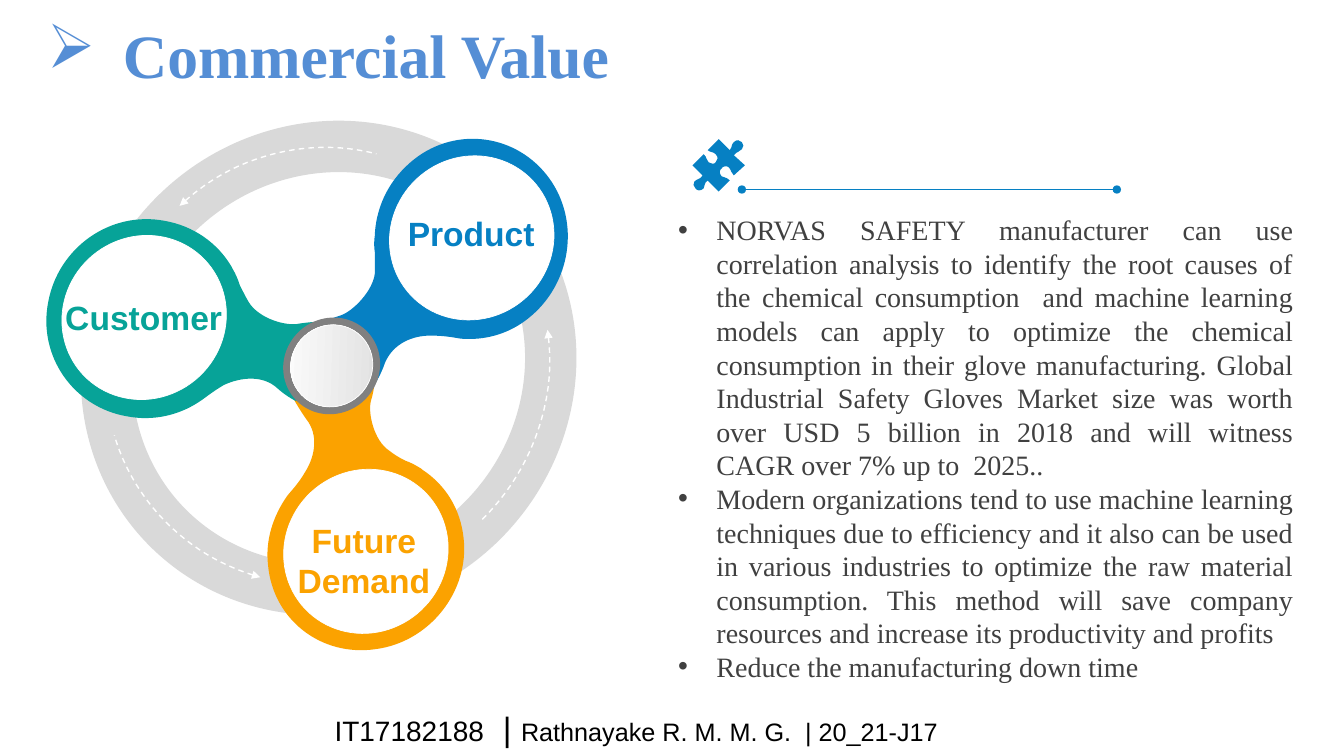
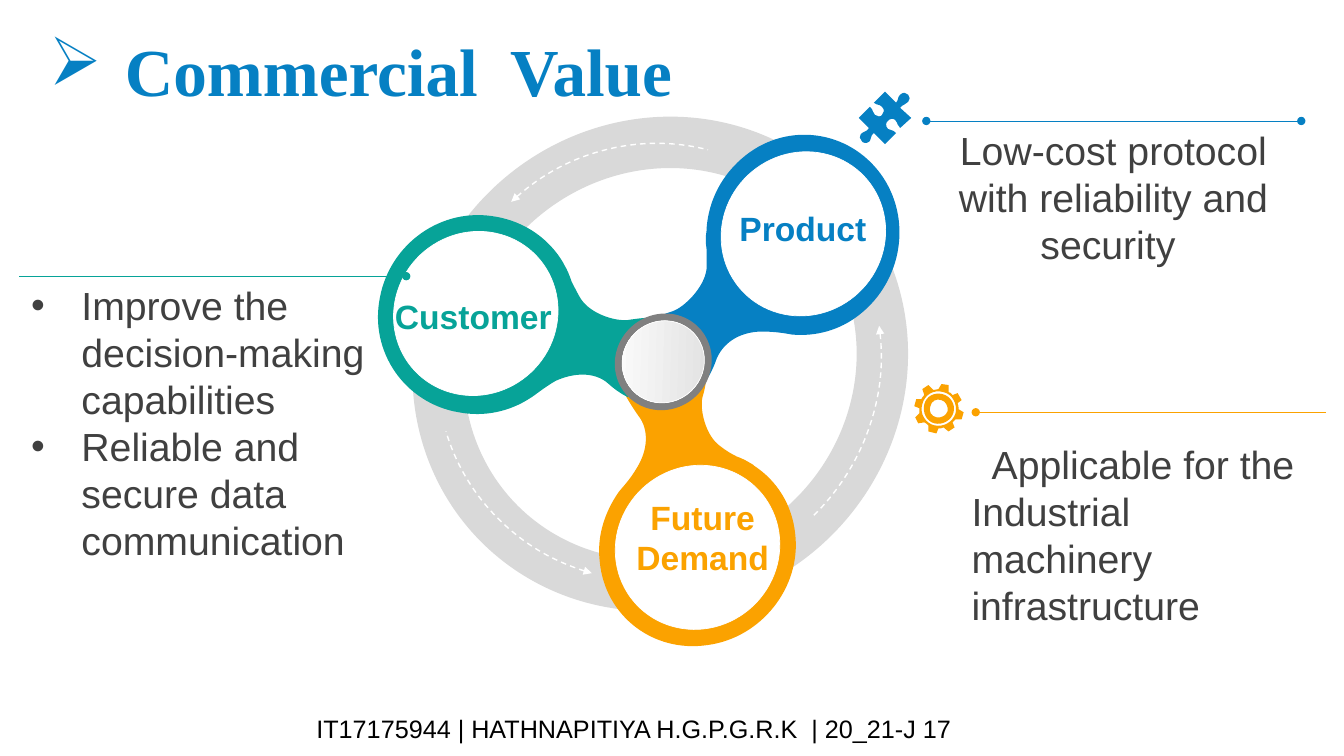
from lxml import etree
from pptx import Presentation
from pptx.dml import color
from pptx.enum import dml, shapes, text
from pptx.oxml import ns
from pptx.util import Emu, Pt

COLUMNS, ROWS = 40 / 3, 7.5
CELL = 914400
SERIF, SANS = "Times New Roman", "Arial"
BLUE, TEAL, ORANGE = "0680C3", "07A398", "FBA200"
WHITE, BLACK, BODY, RING, HUB = "FFFFFF", "000000", "404040", "D9D9D9", "808080"
TILT = 46.7
ARC_START, ARC_END = 181.8, 215.18
ARROWS = (
    ((3.3, 2.66), (4.21, 4.39), TILT),
    ((3.18, 2.65), (4.39, 4.21), 286),
    ((3.24, 2.7), (4.39, 4.21), 165),
)

ORANGE_ARM = """M460 434 C457 405 442 381 419 366 L418 365 C413 362 408 359 402 357
C396 354 391 351 386 347 C371 337 365 310 368 298 C372 285 372 275 372 275
L352 280 L312 291 L292 297 C292 297 297 306 304 316 C316 331 313 352 303 368
C296 380 289 387 285 392 C271 412 263 436 266 461 C271 515 319 552 373 544
C426 537 466 487 460 434"""
BLUE_ARM = """M411 58 C387 77 374 103 372 131 L372 133 C371 139 371 145 372 151
C372 158 372 165 372 171 C370 189 350 209 338 213 C325 217 316 222 316 222
L330 237 L358 266 L372 281 C372 281 378 272 382 260 C390 241 409 233 427 233
C441 233 451 235 457 236 C480 238 504 232 524 216 C567 182 576 120 545 77
C513 33 453 25 411 58"""
TEAL_ARM = """M163 119 C192 124 216 141 230 165 L231 167 C234 172 236 177 238 183
C241 189 244 195 247 200 C257 216 284 224 297 221 C310 219 320 219 320 219
L314 239 L300 279 L294 298 C294 298 285 294 275 285 C261 272 239 274 222 282
C210 289 202 296 197 299 C177 312 152 318 126 313 C73 304 37 253 48 199
C58 146 109 109 163 119"""
PUZZLE = """M49 2 C51 4 51 7 49 9 C47 12 44 11 41 15 L52 25 L41 35
C38 33 39 30 36 27 C34 25 30 26 29 28 C27 29 26 33 29 36 C32 38 33 36 37 40
L26 51 L15 40 C11 43 13 45 11 48 C8 51 4 50 3 48 C1 46 0 43 2 41
C5 38 8 39 10 35 L0 25 L11 14 C15 17 13 20 16 22 C18 24 22 24 23 22
C25 20 26 17 23 14 C20 11 19 13 15 10 L26 -1 L37 10 C40 6 38 5 41 2
C44 -1 47 0 49 2"""
THUMB = """M6 43 C5 43 4 44 4 45 C4 46 5 47 6 47 C7 47 8 46 8 45 C8 44 7 43 6 43
M32 0 C34 -1 36 2 37 4 C38 11 28 21 35 21 C40 20 43 20 49 20 C54 20 55 23 53 27
C56 27 59 32 53 34 C58 37 55 42 52 42 C55 45 54 47 52 48 C46 50 31 52 22 48
C18 47 15 46 12 45 L12 48 C12 49 11 50 10 50 L0 50 L0 24 L10 24
C11 24 12 25 12 26 L12 27 C13 27 13 27 14 26 C15 24 16 22 18 20
C22 14 29 11 30 2 C30 0 31 0 32 0"""
GEAR = """M27 16 C22 14 17 17 16 22 C14 27 17 32 22 33 C27 34 32 31 33 27
C34 22 31 17 27 16 M28 10 C36 12 41 20 39 28 C37 36 28 41 20 39 C12 37 8 28 10 20
C12 12 20 8 28 10 M29 8 C19 5 10 11 8 20 C5 29 11 39 20 41 C29 43 38 38 41 29
C43 20 38 10 29 8 M34 1 L34 8 C35 8 37 9 38 11 L43 9 L47 16 L43 19
C44 21 44 23 44 25 L49 28 L47 35 L41 35 C40 36 39 37 38 38 L40 43 L34 47 L29 43
C28 44 26 44 24 44 L22 49 L14 47 L14 41 C13 40 12 39 10 38 L4 39 L1 33 L5 29
C5 28 5 26 5 24 L0 22 L2 15 L7 15 C8 13 9 12 10 11 L8 5 L14 1 L19 6
C21 5 22 5 24 5 L27 0"""
ARMS = (
    ("Future Demand", ORANGE, ORANGE_ARM, (3.63, 4.47), (1.72, 0.91)),
    ("Product", BLUE, BLUE_ARM, (4.68, 1.36), (1.47, 0.5)),
    ("Customer", TEAL, TEAL_ARM, (1.43, 2.15), (1.79, 0.5)),
)


def grid(*lengths):
    """Turn columns or rows into slide units."""
    return [Emu(round(length * CELL)) for length in lengths]


def rgb(value):
    """Turn a hex string into a colour."""
    return color.RGBColor.from_string(value)


def add_child(parent, tag, **attributes):
    """Append a drawing element with its attributes."""
    child = etree.SubElement(parent, ns.qn(tag))
    for name, value in attributes.items():
        child.set(name, value)


def style(shape, fill=None, line=None, width=0.5):
    """Give a shape flat fill and line, without shadow."""
    shape.shadow.inherit = False
    if fill:
        shape.fill.solid()
        shape.fill.fore_color.rgb = rgb(fill)
    else:
        shape.fill.background()
    if line:
        shape.line.color.rgb = rgb(line)
        shape.line.width = Pt(width)
    else:
        shape.line.fill.background()
    return shape


def round_shape(page, centre, size, fill=None, line=None, kind=shapes.MSO_SHAPE.OVAL, turn=TILT):
    """Place a turned round preset shape about its centre."""
    corner = [middle - length / 2 for middle, length in zip(centre, size)]
    shape = page.shapes.add_shape(kind, *grid(*corner, *size))
    shape.rotation = turn
    return style(shape, fill, line)


def read_outline(drawing):
    """Split a drawing into (command, points) steps."""
    words, steps = drawing.split(), []
    while words:
        count = 6 if words[0][0] == "C" else 2
        values = [int(word.lstrip("MLC")) for word in words[:count]]
        steps.append((words[0][0], list(zip(values[::2], values[1::2]))))
        words = words[count:]
    return steps


def outline(page, corner, drawing, fill):
    """Fill lines and curves given in hundredths of a cell from a corner."""
    steps = read_outline(drawing)
    builder = page.shapes.build_freeform(*steps[0][1][0], scale=CELL / 100)
    for command, points in steps[1:]:
        if command == "M":
            builder.add_line_segments([], close=True)
            builder.move_to(*points[0])
        else:
            builder.add_line_segments(points, close=False)
    builder.add_line_segments([], close=True)
    shape = builder.convert_to_shape(*grid(*corner))
    nodes = iter(list(shape._element.spPr.iter(ns.qn("a:lnTo"))))
    for command, points in steps:
        if command == "L":
            next(nodes)
        elif command == "C":
            trio = [next(nodes) for point in points]
            curve = etree.Element(ns.qn("a:cubicBezTo"))
            trio[0].addprevious(curve)
            for node in trio:
                curve.append(node[0])
                node.getparent().remove(node)
    return style(shape, fill)


def add_text(page, box, paragraphs, align=None, bullet=None, indent=0, hanging=0, spacing=None):
    """Write paragraphs of (words, size, font, colour, bold) runs in a box."""
    frame = page.shapes.add_textbox(*grid(*box)).text_frame
    frame.word_wrap = True
    for index, spans in enumerate(paragraphs):
        para = frame.paragraphs[0] if index == 0 else frame.add_paragraph()
        if align:
            para.alignment = align
        if spacing:
            para.line_spacing = spacing
        properties = para._p.get_or_add_pPr()
        if bullet:
            typeface, sign = bullet
            properties.set("marL", str(grid(hanging)[0]))
            properties.set("indent", str(-grid(hanging)[0]))
            add_child(properties, "a:buFont", typeface=typeface)
            add_child(properties, "a:buChar", char=sign)
        elif indent and index == 0:
            properties.set("indent", str(grid(indent)[0]))
        for words, size, font, ink, bold in spans:
            span = para.add_run()
            span.text = words
            span.font.size = Pt(size)
            span.font.name = font
            span.font.bold = bold
            span.font.color.rgb = rgb(ink)


def title(page, box, words, size, ink):
    """Write the arrowed slide title."""
    add_text(page, box, [[(words, size, SERIF, ink, True)]],
             bullet=("Wingdings", "Ø"), hanging=0.75)


def footer(page, box, spans, spacing=None):
    """Write the footer from (words, size) pairs."""
    add_text(page, box, [[(words, size, SANS, BLACK, False) for words, size in spans]],
             spacing=spacing)


def rule(page, left, right, row, ink, ends):
    """Draw a thin level line with dots at the named ends."""
    line = page.shapes.add_connector(
        shapes.MSO_CONNECTOR.STRAIGHT, *grid(left, row, right, row))
    line.line.color.rgb = rgb(ink)
    line.line.width = Pt(0.5)
    for end in ends:
        add_child(line.line._get_or_add_ln(), end, type="oval")
    add_child(line._element.spPr, "a:effectLst")


def note(page, box, paragraphs, size, font=SANS, **layout):
    """Write the body text of a callout."""
    add_text(page, box, [[(words, size, font, BODY, False)] for words in paragraphs], **layout)


def spinner(page, left, top, label_corners):
    """Draw the three-armed wheel in the box at left and top."""
    def shift(point):
        return left + point[0], top + point[1]

    ring = round_shape(page, shift((3.26, 2.65)), (4.81, 5.01), RING,
                       kind=shapes.MSO_SHAPE.DONUT)
    ring.adjustments[0] = 0.106
    for name, ink, drawing, disc, size in ARMS:
        outline(page, (left, top), drawing, ink)
    for name, ink, drawing, disc, size in ARMS:
        round_shape(page, shift(disc), (1.6, 1.66), WHITE, WHITE)
    hub = shift((3.29, 2.63))
    round_shape(page, hub, (0.94, 0.98), HUB)
    cap = round_shape(page, hub, (0.8, 0.83), WHITE, WHITE)
    cap.fill.gradient()
    cap.fill.gradient_angle = 225
    for stop, position, ink in zip(cap.fill.gradient_stops, (0, 1), ("DEDEDE", WHITE)):
        stop.position = position
        stop.color.rgb = rgb(ink)
    for centre, size, turn in ARROWS:
        arrow = round_shape(page, shift(centre), size, line=WHITE,
                            kind=shapes.MSO_SHAPE.ARC, turn=turn)
        arrow.adjustments[0] = ARC_START
        arrow.adjustments[1] = ARC_END
        arrow.line.width = Pt(1)
        arrow.line.dash_style = dml.MSO_LINE.DASH
        add_child(arrow.line._get_or_add_ln(), "a:headEnd", type="triangle")
    for (name, ink, drawing, disc, size), corner in zip(ARMS, label_corners):
        add_text(page, (*shift(corner), *size), [[(name, 24, SANS, ink, True)]],
                 align=text.PP_ALIGN.CENTER)


def market_page(page):
    """Build the slide with the wheel and the market text."""
    spinner(page, 0, 1, ((2.75, 4.11), (3.94, 1.06), (0.53, 1.9)))
    outline(page, (6.87, 1.39), PUZZLE, BLUE)
    note(page, (6.63, 2.06, 6.3, 5.15), (
        "NORVAS SAFETY manufacturer can use correlation analysis to identify the root causes "
        "of the chemical consumption  and machine learning models can apply to optimize the "
        "chemical consumption in their glove manufacturing. Global Industrial Safety Gloves "
        "Market size was worth over USD 5 billion in 2018 and will witness CAGR over 7% up to "
        " 2025..",
        "Modern organizations tend to use machine learning techniques due to efficiency and it "
        "also can be used in various industries to optimize the raw material consumption. This "
        "method will save company resources and increase its productivity and profits",
        "Reduce the manufacturing down time",
    ), 20, SERIF, align=text.PP_ALIGN.JUSTIFY, bullet=(SANS, "•"), hanging=0.38)
    rule(page, 7.36, 11.08, 1.88, BLUE, ("a:headEnd", "a:tailEnd"))
    title(page, (0.37, 0.12, 6.71, 0.84), "Commercial Value", 44, "558ED5")
    footer(page, (3.22, 7.02, 7.75, 0.42), (
        ("IT17182188", 20), ("  | ", 24), ("Rathnayake R. M. M. G.  | 20_21-J17", 18)), 0.9)


def benefits_page(page):
    """Build the slide with the wheel and its three callouts."""
    spinner(page, 3.29, 0.96, ((2.82, 3.92), (3.94, 1.05), (0.51, 1.93)))
    outline(page, (8.52, 0.92), PUZZLE, BLUE)
    outline(page, (9.07, 3.81), GEAR, ORANGE)
    note(page, (9.54, 4.32, 3.43, 1.99),
         ("Applicable for the", "Industrial machinery infrastructure"), 28, indent=0.2)
    rule(page, 9.68, 13.15, 4.09, ORANGE, ("a:headEnd",))
    note(page, (0.21, 2.74, 3.79, 3.4),
         ("Improve the decision-making capabilities", "Reliable and secure data communication"),
         28, bullet=(SANS, "•"), hanging=0.5)
    rule(page, 0.19, 4.03, 2.74, TEAL, ("a:tailEnd",))
    note(page, (9.2, 1.2, 3.69, 1.51), ("Low-cost protocol with reliability and security ",),
         28, align=text.PP_ALIGN.CENTER)
    rule(page, 9.19, 12.91, 1.2, BLUE, ("a:headEnd", "a:tailEnd"))
    title(page, (0.39, 0.24, 6.77, 0.91), "Commercial  Value", 48, BLUE)
    footer(page, (3.04, 7.03, 10.19, 0.4),
           (("IT17175944 | HATHNAPITIYA H.G.P.G.R.K  | 20_21-J 17", 18),))


def main():
    """Build and save the deck."""
    deck = Presentation()
    deck.slide_width, deck.slide_height = grid(COLUMNS, ROWS)
    for build in (market_page, benefits_page):
        build(deck.slides.add_slide(deck.slide_layouts[6]))
    deck.save("out.pptx")


if __name__ == "__main__":
    main()
